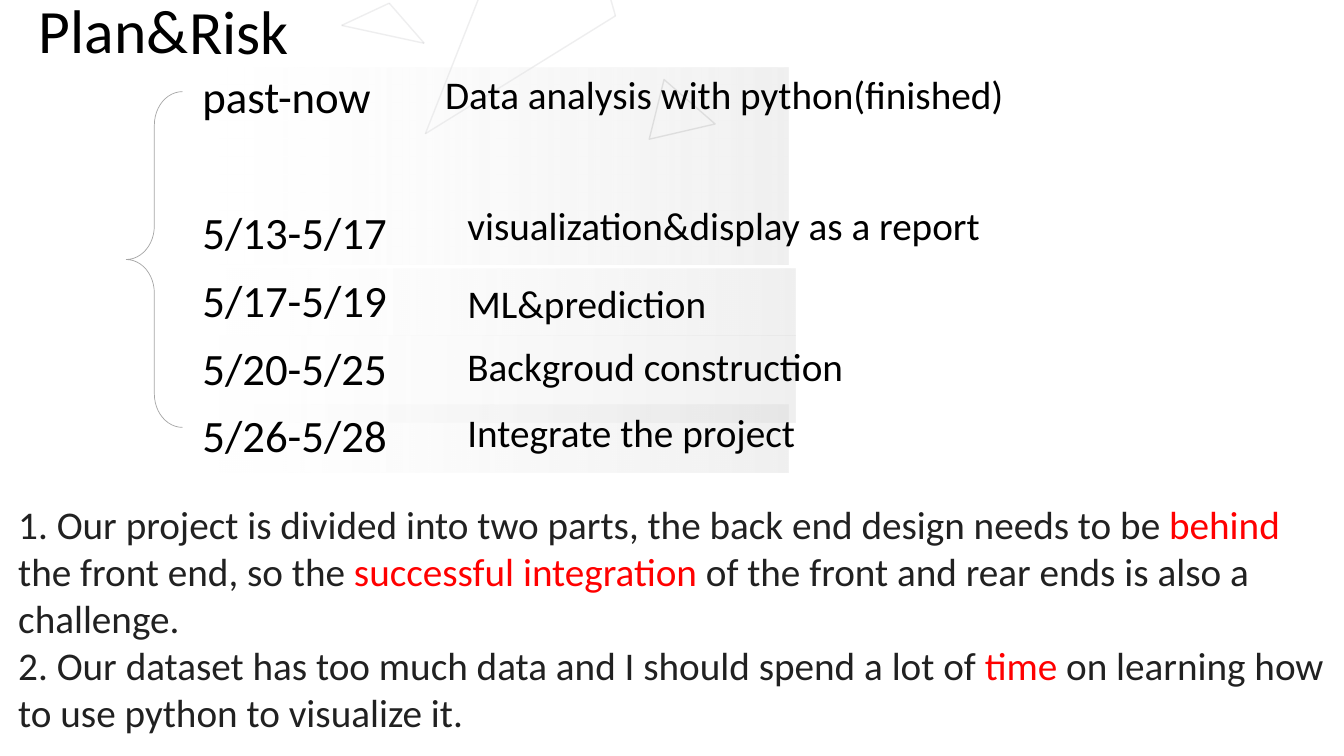
from dataclasses import dataclass

from lxml import etree
from pptx import Presentation
from pptx.dml.color import RGBColor
from pptx.enum.shapes import MSO_CONNECTOR, MSO_SHAPE
from pptx.enum.text import MSO_ANCHOR, PP_ALIGN
from pptx.oxml.ns import qn
from pptx.util import Cm, Pt

RECT, TRIANGLE, BRACE = MSO_SHAPE.RECTANGLE, MSO_SHAPE.ISOSCELES_TRIANGLE, MSO_SHAPE.LEFT_BRACE
STRAIGHT = MSO_CONNECTOR.STRAIGHT
TOP = MSO_ANCHOR.TOP
LEFT, CENTER = PP_ALIGN.LEFT, PP_ALIGN.CENTER


@dataclass(frozen=True)
class Theme:
    font: str = "Calibri"
    title_size: int = 44
    date_size: int = 32
    body_size: int = 28
    text: str = "000000"
    note: str = "212121"
    accent: str = "FF0000"
    paper: str = "FFFFFF"
    band_dark: str = "D9D9D9"
    band_light: str = "F2F2F2"
    brace: str = "A6A6A6"
    web: str = "909094"
    small_triangle: str = "BFBFBF"


THEME = Theme()

# date, task, date top, task left, task top, task width (cm, inside the timeline box)
ROW_PITCH = 1.71
ROWS = [("past-now", "Data analysis with python(finished)", 0, 7.79, 0.05, 15.27)] + [
    (date, task, 3.43 + i * ROW_PITCH, 8.35, task_top, width)
    for i, (date, task, task_top, width) in enumerate([
        ("5/13-5/17", "visualization&display as a report", 3.35, 16.18),
        ("5/17-5/19", "ML&prediction", 5.31, 8.46),
        ("5/20-5/25", "Backgroud construction", 6.91, 10.24),
        ("5/26-5/28", "Integrate the project", 8.56, 8.86),
    ])
]
BANDS = [(1.67, 0.1, 15.01, 4.98), (1.85, 5.16, 15.01, 1.7),
         (1.67, 6.86, 15.19, 2.18), (1.67, 8.61, 15.01, 1.7)]

# Each note is a list of (text, highlighted)
NOTES = [
    [("1. Our project is divided into two parts, the back end design needs to be ", False),
     ("behind", True), (" the front end, so the ", False),
     ("successful integration ", True),
     ("of the front and rear ends is also a challenge.", False)],
    [("2. Our dataset has too much data and I should spend a lot of ", False),
     ("time", True), (" on learning how to use python to visualize it.", False)],
]


def rgb(color):
    return RGBColor.from_string(color)


def set_alpha(color_element, percent):
    etree.SubElement(color_element, qn("a:alpha"), val=str(percent * 1000))


def style_line(shape, color, width, alpha=100):
    shape.line.color.rgb = rgb(color)
    shape.line.width = Pt(width)
    if alpha < 100:
        set_alpha(next(shape.line._ln.iter(qn("a:srgbClr"))), alpha)


def add_run(p, text, size, color):
    r = p.add_run()
    r.text = text
    r.font.name = THEME.font
    r.font.size = Pt(size)
    r.font.color.rgb = rgb(color)


def add_label(s, x, y, w, h, text, size, align=LEFT):
    tf = s.shapes.add_textbox(Cm(x), Cm(y), Cm(w), Cm(h)).text_frame
    tf.word_wrap = True
    p = tf.paragraphs[0]
    p.alignment = align
    add_run(p, text, size, THEME.text)


def add_plain(s, kind, x, y, w, h):
    sp = s.shapes.add_shape(kind, Cm(x), Cm(y), Cm(w), Cm(h))
    sp.shadow.inherit = False
    sp.fill.background()
    sp.line.fill.background()
    return sp


def add_band(s, x, y, w, h):
    """Rectangle that fades out towards the left."""
    sp = add_plain(s, RECT, x, y, w, h)
    sp.fill.gradient()
    sp.fill.gradient_angle = 180
    stops = [(0, THEME.band_dark, 39), (0.96, THEME.band_light, 0)]
    for stop, (position, color, _) in zip(sp.fill.gradient_stops, stops):
        stop.position = position
        stop.color.rgb = rgb(color)
    for element, (_, _, alpha) in zip(list(sp._element.spPr.iter(qn("a:srgbClr"))), stops):
        set_alpha(element, alpha)


def add_outline(s, points):
    """Closed outline of thin connectors."""
    for (x1, y1), (x2, y2) in zip(points, points[1:] + points[:1]):
        line = s.shapes.add_connector(STRAIGHT, Cm(x1), Cm(y1), Cm(x2), Cm(y2))
        style_line(line, THEME.web, 1, 14)
        etree.SubElement(line._element.spPr, qn("a:effectLst"))


def add_title(s, x, y):
    add_label(s, x, y, 6.86, 2.13, "Plan&", THEME.title_size, CENTER)
    add_label(s, x + 5.08, y + 0.03, 4.78, 2.13, "Risk", THEME.title_size)


def add_decoration(s, x, y):
    sp = add_plain(s, TRIANGLE, x + 7.9, y + 2.18, 1.55, 1.52)
    sp.rotation = 104
    style_line(sp, THEME.small_triangle, 1, 49)
    for points in ([(5.38, -4.93), (6.9, 0.4), (2.11, 3.37)],
                   [(0, 0.64), (1.2, 0.08), (2.08, 1.09)]):
        add_outline(s, [(x + px, y + py) for px, py in points])


def add_timeline(s, x, y):
    for dx, dy, w, h in BANDS:
        add_band(s, x + dx, y + dy, w, h)
    brace = add_plain(s, BRACE, x, y + 0.71, 1.42, 8.46)
    brace.adjustments[0] = 0.596
    brace.adjustments[1] = 0.5
    style_line(brace, THEME.brace, 0.5)
    for date, task, date_top, task_left, task_top, task_width in ROWS:
        add_label(s, x + 1.67, y + date_top, 5.21, 1.63, date, THEME.date_size)
        add_label(s, x + task_left, y + task_top, task_width, 1.45, task, THEME.body_size)


def add_notes_panel(s, x, y, w, h):
    sp = add_plain(s, RECT, x, y, w, h)
    sp.fill.solid()
    sp.fill.fore_color.rgb = rgb(THEME.paper)
    tf = sp.text_frame
    tf.word_wrap = True
    tf.vertical_anchor = TOP
    tf.margin_left = tf.margin_right = tf.margin_top = tf.margin_bottom = 0
    for i, note in enumerate(NOTES):
        p = tf.add_paragraph() if i else tf.paragraphs[0]
        p.alignment = LEFT
        for text, highlighted in note:
            add_run(p, text, THEME.body_size, THEME.accent if highlighted else THEME.note)


def main():
    prs = Presentation()
    prs.slide_width, prs.slide_height = Cm(33.87), Cm(19.05)
    s = prs.slides.add_slide(prs.slide_layouts[6])
    add_title(s, -0.56, -0.33)
    add_decoration(s, 8.61, 0)
    add_timeline(s, 3.18, 1.6)
    add_notes_panel(s, 0.46, 12.6, 32.97, 6.45)
    prs.save("out.pptx")


if __name__ == "__main__":
    main()
